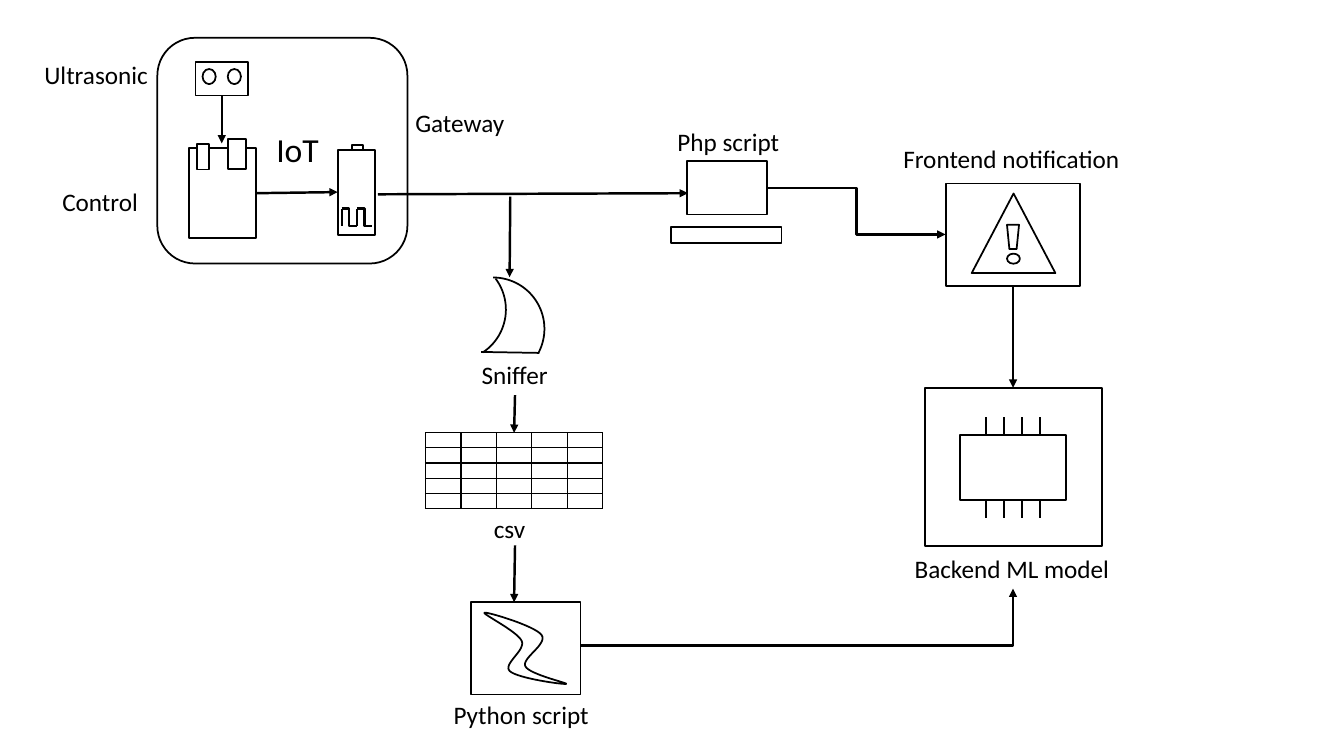
from lxml import etree
from pptx import Presentation
from pptx.dml.color import RGBColor
from pptx.enum.shapes import MSO_CONNECTOR, MSO_SHAPE
from pptx.enum.text import MSO_AUTO_SIZE
from pptx.oxml.ns import qn
from pptx.util import Pt

RECTANGLE = MSO_SHAPE.RECTANGLE
ROUNDED = MSO_SHAPE.ROUNDED_RECTANGLE
TRIANGLE = MSO_SHAPE.ISOSCELES_TRIANGLE
TRAPEZOID = MSO_SHAPE.FLOWCHART_MANUAL_OPERATION
OVAL = MSO_SHAPE.OVAL
ARC = MSO_SHAPE.ARC
STRAIGHT = MSO_CONNECTOR.STRAIGHT
ELBOW = MSO_CONNECTOR.ELBOW
FIT_TEXT = MSO_AUTO_SIZE.SHAPE_TO_FIT_TEXT
COLORS = {"ink": "000000", "paper": "FFFFFF"}
INK = RGBColor.from_string(COLORS["ink"])
PAPER = RGBColor.from_string(COLORS["paper"])
FONT = "Calibri"

presentation = Presentation()
presentation.slide_width = Pt(960)
presentation.slide_height = Pt(540)
slide = presentation.slides.add_slide(presentation.slide_layouts[6])


def style_shape(shape, weight=1.25, filled=True):
    shape.shadow.inherit = False
    if filled:
        shape.fill.solid()
        shape.fill.fore_color.rgb = PAPER
    else:
        shape.fill.background()
    shape.line.color.rgb = INK
    shape.line.width = Pt(weight)


def draw_line(kind, x1, y1, x2, y2, weight=1.5, arrow=False):
    connector = slide.shapes.add_connector(kind, Pt(x1), Pt(y1), Pt(x2), Pt(y2))
    connector.line.color.rgb = INK
    connector.line.width = Pt(weight)
    if arrow:
        line = connector.line._get_or_add_ln()
        etree.SubElement(line, qn("a:tailEnd"), type="triangle")
    etree.SubElement(connector._element.spPr, qn("a:effectLst"))
    return connector


iot_frame = [(ROUNDED, 112.4, 27, 178.6, 161.2, 1.25)]
ultrasonic_sensor = [
    (RECTANGLE, 139.6, 44.4, 37.6, 23.8, 1.25),
    (OVAL, 144.7, 49.3, 9.4, 10.8, 1.25),
    (OVAL, 162.7, 49.3, 9.4, 10.8, 1.25),
]
controller_board = [
    (RECTANGLE, 135.2, 105.8, 47.7, 64.1, 1.25),
    (RECTANGLE, 140.6, 103, 8.6, 18, 1.25),
    (RECTANGLE, 162.7, 99.4, 13, 21.6, 1.25),
]
wireless_module = [
    (RECTANGLE, 251.3, 103.7, 7.9, 13.7, 1.5),
    (RECTANGLE, 241.2, 107.2, 26.8, 60.4, 1.5),
]
script_computer = [
    (RECTANGLE, 490.9, 115.2, 56.9, 38, 1.25),
    (RECTANGLE, 479.5, 162, 78.7, 11.5, 1.25),
]
warning_screen = [
    (RECTANGLE, 675.6, 131, 95.8, 73.1, 1.25),
    (TRIANGLE, 694.1, 138.2, 59.8, 56.9, 1.25),
    (TRAPEZOID, 719.3, 160.6, 8.6, 17.3, 1.25),
    (OVAL, 719.3, 181.2, 9.2, 7.2, 1.25),
]
model_board = [(RECTANGLE, 660.6, 277, 126.7, 113.2, 1.5)]
python_frame = [(RECTANGLE, 336.4, 430.2, 78.3, 65.9, 1.25)]
for icon in (iot_frame, ultrasonic_sensor, controller_board, wireless_module,
             script_computer, warning_screen, model_board, python_frame):
    for kind, left, top, width, height, weight in icon:
        shape = slide.shapes.add_shape(kind, Pt(left), Pt(top), Pt(width), Pt(height))
        style_shape(shape, weight)

for pulse_x in (244.1, 254.9):
    draw_line(ELBOW, pulse_x, 149, pulse_x + 11, 161.3)
    draw_line(STRAIGHT, pulse_x, 149, pulse_x, 161.3)

for pin in range(4):
    pin_x = 704.5 + 12.8 * pin
    draw_line(STRAIGHT, pin_x, 298, pin_x, 370)
chip = slide.shapes.add_shape(RECTANGLE, Pt(685.9), Pt(310.8), Pt(75.9), Pt(46.4))
style_shape(chip, 1.5)

ribbon_start = (346.1, 437.6)
ribbon_curves = [
    ((348.5, 437.1), (382.3, 447.1), (386.9, 453.6)),
    ((391.5, 460.1), (372.2, 470.2), (375.3, 476)),
    ((378.4, 481.8), (406, 487.9), (404.4, 488.5)),
    ((402.5, 489.1), (369.6, 484.5), (364.2, 479.4)),
    ((358.8, 474.4), (375.6, 464.7), (372.7, 457.9)),
    ((369.8, 451), (343.7, 438.2), ribbon_start),
]
steps = 16
outline = []
start = ribbon_start
for control1, control2, end in ribbon_curves:
    for step in range(1, steps + 1):
        t = step / steps
        weights = ((1 - t) ** 3, 3 * t * (1 - t) ** 2, 3 * t * t * (1 - t), t ** 3)
        knots = (start, control1, control2, end)
        outline.append(tuple(
            Pt(sum(w * knot[axis] for w, knot in zip(weights, knots)))
            for axis in (0, 1)
        ))
    start = end
builder = slide.shapes.build_freeform(Pt(ribbon_start[0]), Pt(ribbon_start[1]))
builder.add_line_segments(outline, close=True)
style_shape(builder.convert_to_shape())

size = 5
frame = slide.shapes.add_table(size, size, Pt(304), Pt(309), Pt(126.5), Pt(54.5))
table = frame.table
for column in table.columns:
    column.width = Pt(25.3)
for row in table.rows:
    row.height = Pt(10.9)
for cell in table.iter_cells():
    cell.margin_left = cell.margin_right = cell.margin_top = cell.margin_bottom = 0
    paragraph = cell.text_frame.paragraphs[0]
    etree.SubElement(paragraph._p, qn("a:endParaRPr"), sz="600")
    properties = cell._tc.get_or_add_tcPr()
    for side in ("lnL", "lnR", "lnT", "lnB"):
        border = etree.SubElement(properties, qn(f"a:{side}"), w=str(Pt(1)))
        solid = etree.SubElement(border, qn("a:solidFill"))
        etree.SubElement(solid, qn("a:srgbClr"), val=COLORS["ink"])
    cell.fill.solid()
    cell.fill.fore_color.rgb = PAPER

fin_size = Pt(73.4)
fin_arcs = [
    (315.5, 198.2, 0, (162, 16.53)),
    (288, 184.4, 56.8, (159.64, 215.92)),
]
for left, top, rotation, angles in fin_arcs:
    arc = slide.shapes.add_shape(ARC, Pt(left), Pt(top), fin_size, fin_size)
    style_shape(arc, filled=False)
    arc.rotation = rotation
    arc.adjustments[0], arc.adjustments[1] = angles
draw_line(STRAIGHT, 343.6, 251.4, 385.2, 252.1, 1.25)

labels = [
    ("Frontend notification", 638.2, 99, 170.6, 18),
    ("IoT", 190.3, 88.6, 45.4, 24),
    ("Gateway", 289.6, 73.2, 86.4, 18),
    ("Sniffer", 337, 253, 61.9, 18),
    ("csv", 345.6, 363, 37.4, 18),
    ("Python script", 316.9, 495.8, 112.3, 18),
    ("Backend ML model", 646.2, 391.8, 155.5, 18),
    ("Ultrasonic", 24.6, 38.6, 89.3, 18),
    ("Control", 37.4, 129.4, 73.4, 18),
    ("Php script", 476.8, 86.8, 87.8, 18),
]
for text, left, top, width, font_size in labels:
    height = font_size * 1.2 + 7.2
    box = slide.shapes.add_textbox(Pt(left), Pt(top), Pt(width), Pt(height))
    box.text_frame.word_wrap = False
    box.text_frame.auto_size = FIT_TEXT
    paragraph = box.text_frame.paragraphs[0]
    paragraph.text = text
    paragraph.font.name = FONT
    paragraph.font.size = Pt(font_size)
    paragraph.font.color.rgb = INK

flows = [
    (STRAIGHT, 158.4, 68.4, 158.4, 102.4),
    (STRAIGHT, 182.9, 138, 241.2, 137.2),
    (STRAIGHT, 270, 138.8, 491.4, 138),
    (ELBOW, 547.9, 134.4, 675.4, 167.5),
    (STRAIGHT, 723.6, 204.2, 723.6, 277),
    (STRAIGHT, 364.5, 140.4, 364, 198),
    (STRAIGHT, 367.9, 282.2, 367.2, 309.2),
    (STRAIGHT, 367.9, 389.5, 367.2, 430.2),
]
for flow in flows:
    draw_line(*flow, weight=1.75, arrow=True)
script_to_model = draw_line(ELBOW, 414.7, 461, 723.6, 420.5, 1.75, True)
script_to_model._element.spPr.find(qn("a:prstGeom")).set("prst", "bentConnector2")

presentation.save("out.pptx")
